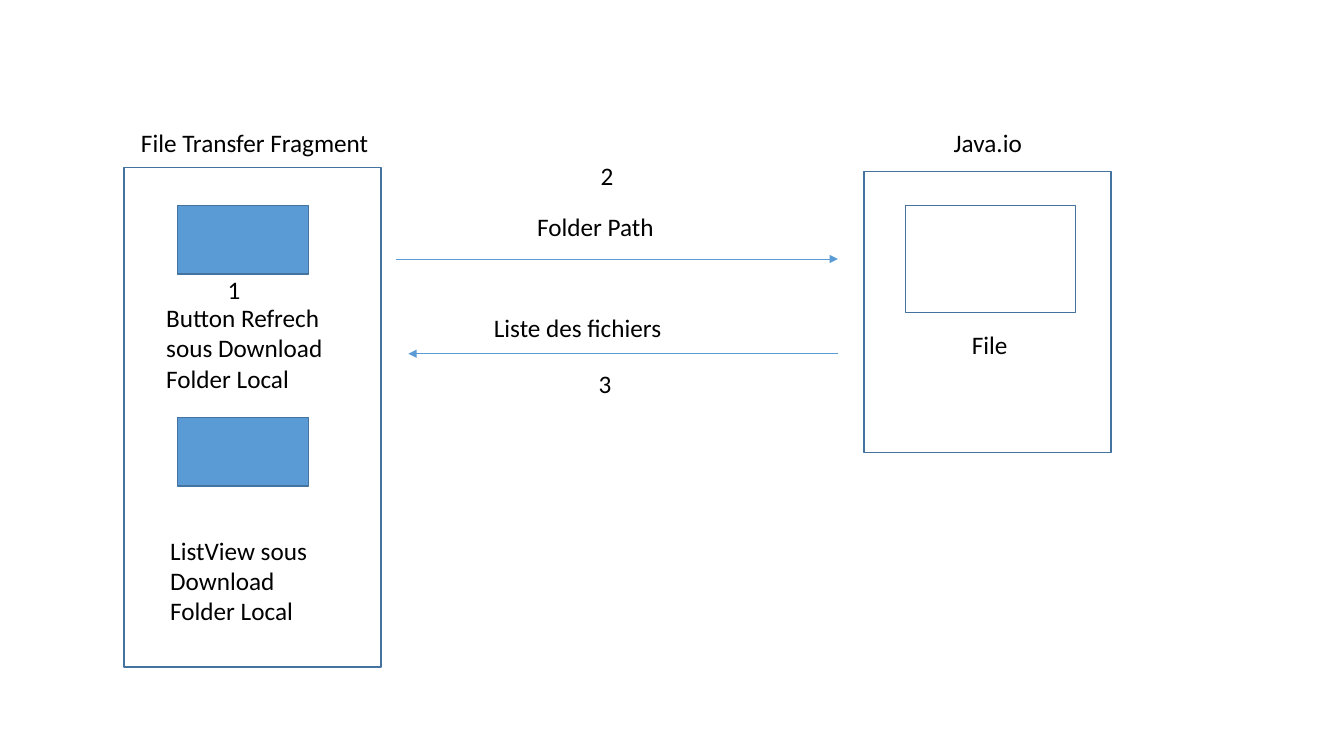
from lxml import etree
from pptx import Presentation
from pptx.dml.color import RGBColor
from pptx.enum.shapes import MSO_CONNECTOR, MSO_SHAPE
from pptx.enum.text import MSO_AUTO_SIZE
from pptx.oxml.ns import qn
from pptx.util import Emu, Pt

RECTANGLE = MSO_SHAPE.RECTANGLE
STRAIGHT = MSO_CONNECTOR.STRAIGHT
FIT_SHAPE = MSO_AUTO_SIZE.SHAPE_TO_FIT_TEXT

BLUE = RGBColor(0x5B, 0x9B, 0xD5)
DARK_BLUE = RGBColor(0x43, 0x73, 0x9E)
BLACK = RGBColor(0, 0, 0)

PX = 9144  # EMU: 100 px to the inch
LABEL_H, PARAGRAPH_H = 40, 101

# left, top, width, height, fill
BOXES = [
    (123, 166, 255, 496, None),
    (857, 170, 245, 279, None),
    (898, 204, 169, 106, None),
    (176, 204, 130, 68, BLUE),
    (176, 414, 130, 68, BLUE),
]
# from x, to x, y
ARROWS = [(393, 831, 257), (831, 405, 351)]
# text, left, top, width
LABELS = [
    ("File Transfer Fragment", 130, 121, 248),
    ("Java.io", 936, 121, 88),
    ("File", 954, 322, 56),
    ("Folder Path", 523, 205, 137),
    ("Liste des fichiers", 480, 305, 194),
    ("1", 216, 267, 33),
    ("2", 586, 154, 33),
    ("3", 584, 360, 33),
]
PARAGRAPHS = [
    ("Button Refrech sous Download Folder Local", 155, 295, 190),
    ("ListView sous Download Folder Local", 159, 526, 174),
]


def px(*lengths):
    return [Emu(n * PX) for n in lengths]


def add_box(s, x, y, w, h, fill):
    box = s.shapes.add_shape(RECTANGLE, *px(x, y, w, h))
    box.shadow.inherit = False
    if fill is None:
        box.fill.background()
    else:
        box.fill.solid()
        box.fill.fore_color.rgb = fill
    box.line.color.rgb = DARK_BLUE
    box.line.width = Pt(1)


def add_arrow(s, x1, x2, y):
    arrow = s.shapes.add_connector(STRAIGHT, *px(x1, y, x2, y))
    arrow.line.color.rgb = BLUE
    arrow.line.width = Pt(0.5)
    etree.SubElement(arrow.line._get_or_add_ln(), qn("a:tailEnd"), type="triangle")
    etree.SubElement(arrow._element.spPr, qn("a:effectLst"))


def add_text(s, text, x, y, w, h, wrap):
    tf = s.shapes.add_textbox(*px(x, y, w, h)).text_frame
    tf.word_wrap = wrap
    tf.auto_size = FIT_SHAPE
    r = tf.paragraphs[0].add_run()
    r.text = text
    r.font.name = "Calibri"
    r.font.size = Pt(18)
    r.font.color.rgb = BLACK


def main():
    prs = Presentation()
    prs.slide_width, prs.slide_height = px(1333, 750)
    s = prs.slides.add_slide(prs.slide_layouts[6])
    for box in BOXES:
        add_box(s, *box)
    for arrow in ARROWS:
        add_arrow(s, *arrow)
    for label in LABELS:
        add_text(s, *label, LABEL_H, wrap=False)
    for paragraph in PARAGRAPHS:
        add_text(s, *paragraph, PARAGRAPH_H, wrap=True)
    prs.save("out.pptx")


if __name__ == "__main__":
    main()
